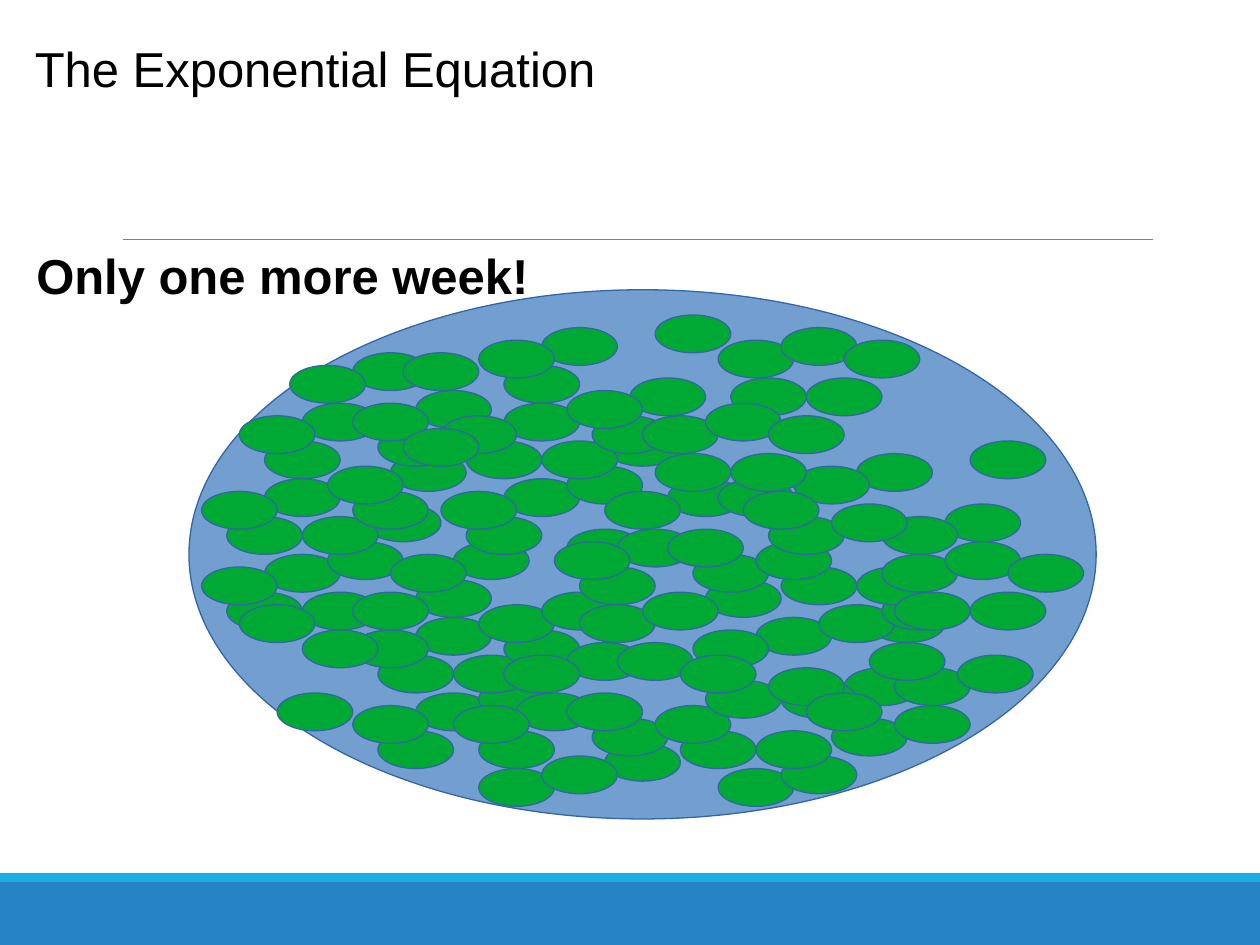
from pptx import Presentation
from pptx import util as u
from pptx.dml.color import RGBColor
from pptx.enum import shapes, text
from pptx.oxml.ns import qn
from lxml import etree

COLUMNS, ROWS = 100, 75
CELL = u.Inches(0.1)
PAD_SIZE = (6, 3)
TRIO = ((0, 0), (-3, 3), (-5, 1))
SINGLE = ((0, 0),)
PAD_GROUPS = (
    (TRIO, "24,32 21,38 21,44 29,40 31,36 33,31 36,43 33,49 33,55 41,51"),
    (SINGLE, "40,50 38,48"),
    (TRIO, "43,26 40,32 40,38 48,34 50,30"),
    (SINGLE, "52,25 28,28 23,29 32,28 24,47 19,48 28,47 22,55 24,50 43,47 45,42"),
    (TRIO, "41,55"),
    (SINGLE, "38,61 48,59 43,60 47,57 45,55 60,49 55,50 54,58 52,56 57,61 "
             "62,60 60,58 67,53 62,54 69,48 45,51 40,52 49,51 32,34"),
    (TRIO, "49,42"),
    (SINGLE, "46,48 56,46 51,47 55,44 53,42 68,36 63,37 62,45 60,43 65,48 "
             "70,47 68,45 75,40 70,41 77,35 53,38 48,39 57,38 58,30 57,27 "
             "62,26 67,27 64,30 52,36 51,33 56,32 61,33 58,36 71,47 70,44 "
             "75,43 80,44 77,47 61,41 59,39 66,40 56,54 54,52 61,53 71,53 "
             "69,51 76,52 66,57 64,55 71,56"),
)


def color(value):
    """Turn a hex string into a colour."""
    return RGBColor.from_string(value)


def cells(*counts):
    """Turn grid counts into lengths."""
    return [round(count * CELL) for count in counts]


def add_filled(slide, kind, box, fill, outline=None):
    """Add a flat preset shape placed on the grid."""
    figure = slide.shapes.add_shape(kind, *cells(*box))
    figure.shadow.inherit = False
    figure.fill.solid()
    figure.fill.fore_color.rgb = color(fill)
    if outline:
        figure.line.color.rgb = color(outline)
        figure.line.width = u.Pt(0.75)
    else:
        figure.line.fill.background()


def add_ellipse(slide, box, fill):
    """Add an outlined ellipse."""
    add_filled(slide, shapes.MSO_SHAPE.OVAL, box, fill, "3465A4")


def add_rule(slide, left, right, row):
    """Add the thin grey line below the heading area."""
    rule = slide.shapes.add_connector(
        shapes.MSO_CONNECTOR.STRAIGHT, *cells(left, row, right, row))
    rule.line.color.rgb = color("808080")
    rule.line.width = u.Pt(0.5)
    etree.SubElement(rule._element.spPr, qn("a:effectLst"))


def write(holder, words, box, bold=False, align=text.PP_ALIGN.LEFT,
          anchor=text.MSO_ANCHOR.TOP, insets=(1, 0.5), wrap=True):
    """Place a text holder on the grid and fill it with formatted words."""
    holder.left, holder.top, holder.width, holder.height = cells(*box)
    frame = holder.text_frame
    frame.auto_size = text.MSO_AUTO_SIZE.NONE
    frame.word_wrap = wrap
    frame.vertical_anchor = anchor
    frame.margin_left = frame.margin_right = cells(insets[0])[0]
    frame.margin_top = frame.margin_bottom = cells(insets[1])[0]
    line = frame.paragraphs[0]
    line.text = words
    line.alignment = align
    font = line.runs[0].font
    font.name, font.size, font.bold = "Arial", u.Pt(28), bold
    font.color.rgb = color("000000")


def add_lily_pads(slide):
    """Scatter the pads over the pond, singly and in trios."""
    for pattern, anchors in PAD_GROUPS:
        for anchor in anchors.split():
            column, row = map(int, anchor.split(","))
            for across, down in pattern:
                add_ellipse(slide, (column + across, row + down, *PAD_SIZE), "00A933")


def main():
    """Build the slide and save it."""
    deck = Presentation()
    deck.slide_width, deck.slide_height = cells(COLUMNS, ROWS)
    slide = deck.slides.add_slide(deck.slide_layouts[5])
    band = shapes.MSO_SHAPE.RECTANGLE
    add_filled(slide, band, (0, 70, COLUMNS, 5), "2683C6")
    add_filled(slide, band, (0, 69.3, COLUMNS, 0.7), "1CADE4")
    add_rule(slide, 9.8, 91.5, 19)
    write(slide.shapes.title, "The Exponential Equation", (1, 1, 48, 8.7),
          align=text.PP_ALIGN.CENTER, anchor=text.MSO_ANCHOR.MIDDLE, insets=(0, 0))
    add_ellipse(slide, (15, 23, 72, 42), "729FCF")
    add_lily_pads(slide)
    caption = slide.shapes.add_textbox(0, 0, CELL, CELL)
    write(caption, "Only one more week!", (1.9, 19, 41.1, 5.3), bold=True, wrap=False)
    deck.save("out.pptx")


if __name__ == "__main__":
    main()
